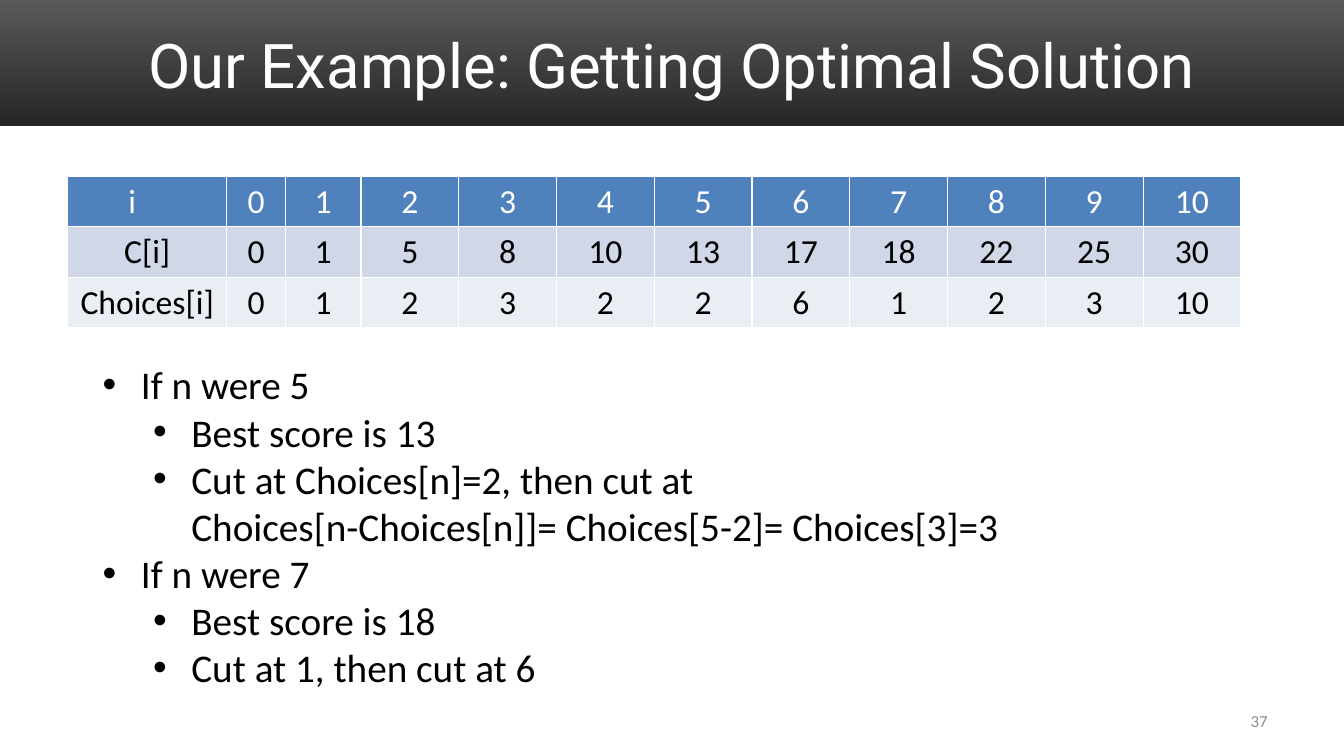
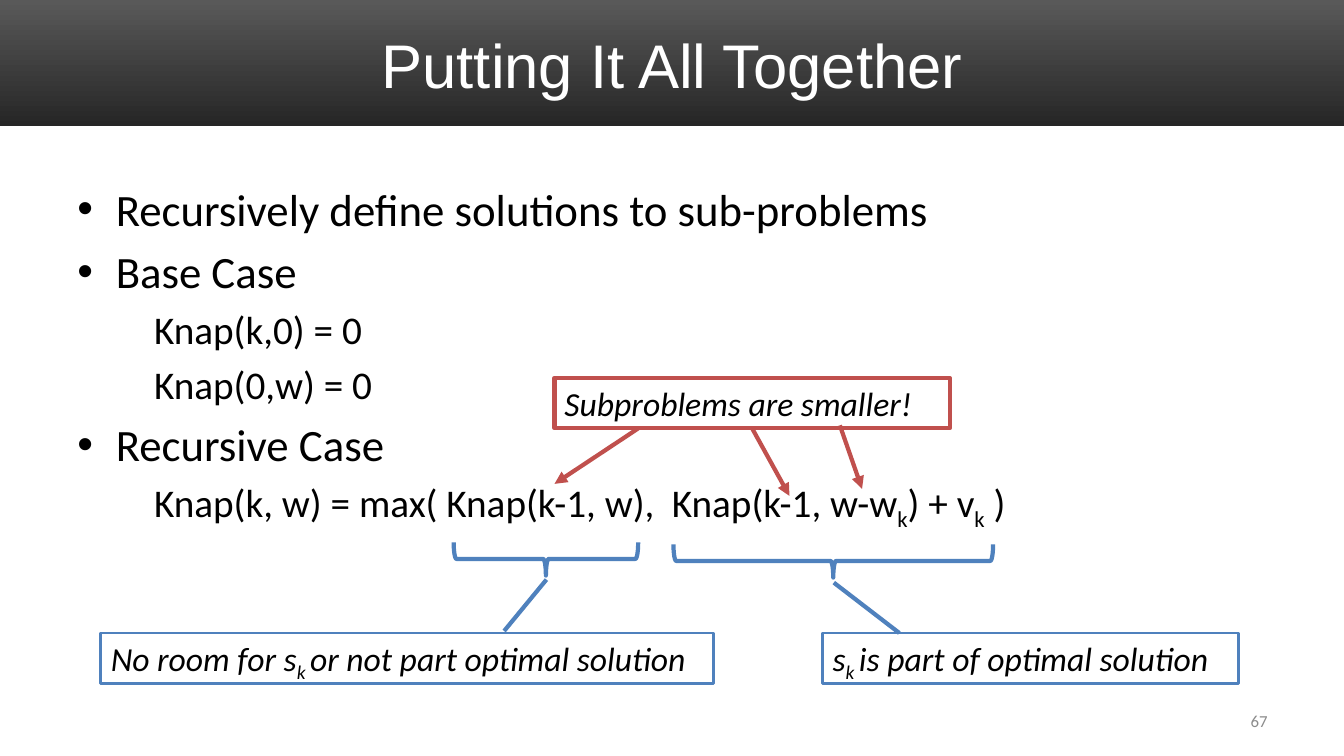
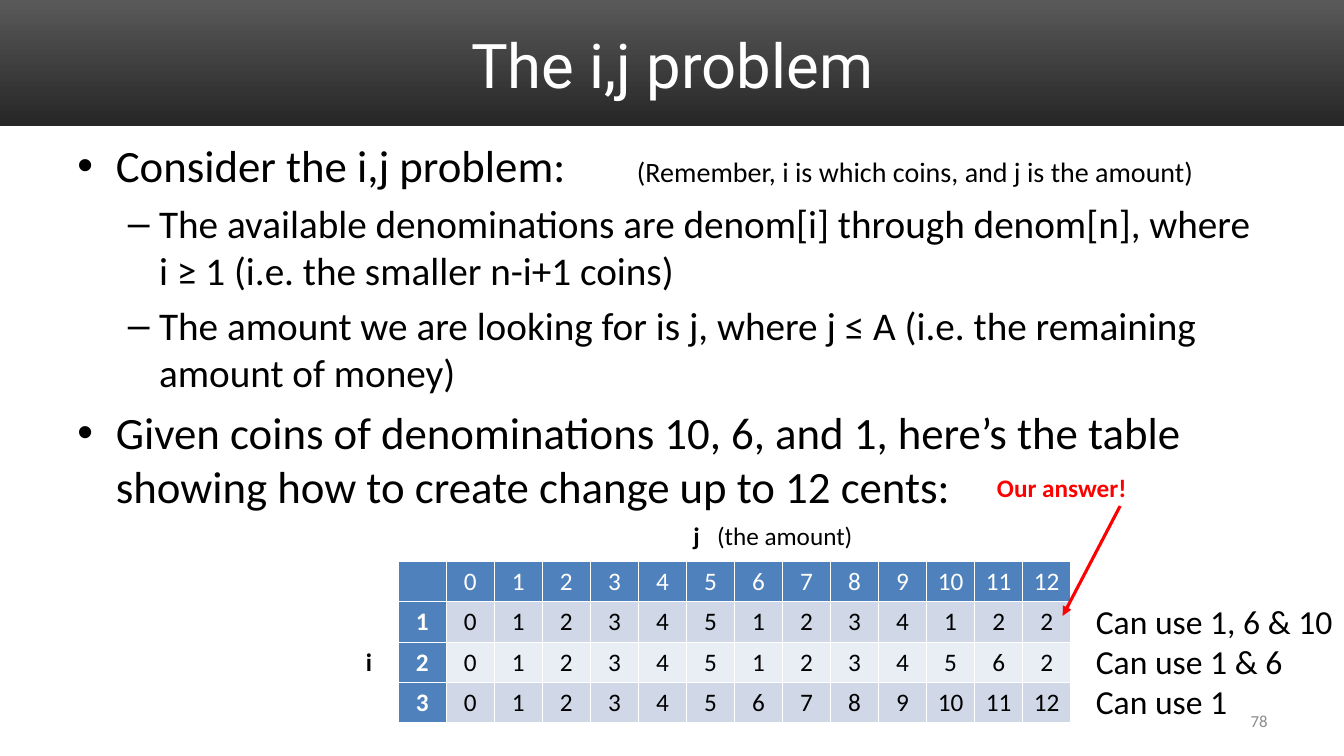
from pptx import Presentation
from pptx.dml.color import RGBColor
from pptx.enum.shapes import MSO_CONNECTOR, MSO_SHAPE
from pptx.enum.text import MSO_ANCHOR, PP_ALIGN
from pptx.oxml.ns import qn
from pptx.util import Inches, Pt
from lxml.etree import SubElement

BLACK, WHITE, GREY = "000000", "FFFFFF", "8C8C8C"
BLUE, BRICK, RED = "4F81BD", "C0504D", "FF0000"
BANDS = ("D0D8E8", "E9EDF4")
FONT = "Calibri"
BULLET = {"size": 32, "left": 0.38, "hang": 0.38, "char": "•", "before": 6.4}
DASH = {"size": 28, "left": 0.81, "hang": 0.31, "char": "–", "before": 5.6}
FORMULA = {"size": 28, "left": 0.76, "before": 5.6}
POINT = {"size": 28, "left": 0.38, "hang": 0.38, "char": "•"}
SUBPOINT = {"size": 28, "left": 0.88, "hang": 0.38, "char": "•"}


def rgb(value):
    """Turn a hex string into a colour."""
    return RGBColor.from_string(value)


def sub(text):
    """Describe a subscript run."""
    return text, {"base": -25}


def gap(points):
    """Describe a single space widened by the given points."""
    return " ", {"spacing": points}


def format_run(r, size, color=BLACK, font=FONT, bold=False, italic=False, base=0, spacing=0):
    """Apply the character format to a run."""
    r.font.size = Pt(size)
    r.font.name = font
    r.font.color.rgb = rgb(color)
    r.font.bold = bold
    r.font.italic = italic
    rPr = r._r.get_or_add_rPr()
    if base:
        rPr.set("baseline", str(base * 1000))
    if spacing:
        rPr.set("spc", str(round(spacing * 100)))


def fill_paragraph(p, content, align=PP_ALIGN.LEFT, left=0, hang=0, char=None, before=0, **style):
    """Write a string or a list of runs into a paragraph."""
    p.alignment = align
    p.space_before = Pt(before)
    pPr = p._p.get_or_add_pPr()
    pPr.set("marL", str(Inches(left)))
    pPr.set("indent", str(-Inches(hang)))
    if char:
        SubElement(pPr, qn("a:buFont")).set("typeface", "Arial")
        SubElement(pPr, qn("a:buChar")).set("char", char)
    if isinstance(content, str):
        p.text = content
        for r in p.runs:
            format_run(r, **style)
        return
    for part in content:
        text, extra = (part, {}) if isinstance(part, str) else part
        r = p.add_run()
        r.text = text
        format_run(r, **{**style, **extra})


def fill_frame(tf, paragraphs, anchor=MSO_ANCHOR.TOP, **style):
    """Write (content, paragraph style) pairs into a text frame."""
    tf.word_wrap = True
    tf.vertical_anchor = anchor
    for n, (content, own) in enumerate(paragraphs):
        p = tf.add_paragraph() if n else tf.paragraphs[0]
        fill_paragraph(p, content, **{**style, **own})


def add_text(s, at, paragraphs, **style):
    """Add a text box."""
    sp = s.shapes.add_textbox(*map(Inches, at))
    fill_frame(sp.text_frame, paragraphs, **style)
    return sp


def add_outline(s, kind, at, color, width):
    """Add an unfilled outlined shape."""
    sp = s.shapes.add_shape(kind, *map(Inches, at))
    sp.shadow.inherit = False
    sp.fill.background()
    sp.line.color.rgb = rgb(color)
    sp.line.width = Pt(width)
    return sp


def add_callout(s, at, content, color, width):
    """Add a framed note in italics."""
    sp = add_outline(s, MSO_SHAPE.RECTANGLE, at, color, width)
    fill_frame(sp.text_frame, [(content, {})], size=24, italic=True)


def add_brace(s, at):
    """Add a brace that opens upwards."""
    add_outline(s, MSO_SHAPE.LEFT_BRACE, at, BLUE, 3).rotation = 270


def add_line(s, start, end, color, width=3, arrow=False):
    """Add a straight line, optionally with an arrowhead at its end."""
    sp = s.shapes.add_connector(MSO_CONNECTOR.STRAIGHT, *map(Inches, (*start, *end)))
    sp.line.color.rgb = rgb(color)
    sp.line.width = Pt(width)
    if arrow:
        SubElement(sp.line._get_or_add_ln(), qn("a:tailEnd")).set("type", "triangle")
    SubElement(sp._element.spPr, qn("a:effectLst"))


def add_borders(cell):
    """Draw thin white borders around a cell."""
    tcPr = cell._tc.get_or_add_tcPr()
    for side in ("lnL", "lnR", "lnT", "lnB"):
        ln = SubElement(tcPr, qn(f"a:{side}"), w=str(Pt(1)))
        color = SubElement(SubElement(ln, qn("a:solidFill")), qn("a:srgbClr"))
        color.set("val", WHITE)


def add_grid(s, left, top, widths, height, rows, size, side_header=False):
    """Add a banded table with a blue header and return it."""
    frame = s.shapes.add_table(len(rows), len(widths), Inches(left), Inches(top),
                               Inches(sum(widths)), Inches(height * len(rows)))
    table = frame.table
    table.first_row = table.horz_banding = False
    for column, width in zip(table.columns, widths):
        column.width = Inches(width)
    for i, row in enumerate(rows):
        table.rows[i].height = Inches(height)
        for j, value in enumerate(row):
            cell = table.cell(i, j)
            side = side_header and j == 0
            head = i == 0 or side
            add_borders(cell)
            cell.fill.solid()
            cell.fill.fore_color.rgb = rgb(BLUE if head else BANDS[(i - 1) % 2])
            fill_paragraph(cell.text_frame.paragraphs[0], str(value), align=PP_ALIGN.CENTER,
                           size=size, color=WHITE if head else BLACK, bold=side)
    return table


def new_slide(prs, title, number, font="Roboto"):
    """Add a slide with the title band and the page number."""
    s = prs.slides.add_slide(prs.slide_layouts[6])
    band = s.shapes.add_shape(MSO_SHAPE.RECTANGLE, 0, 0, prs.slide_width, Inches(1.25))
    band.shadow.inherit = False
    band.line.fill.background()
    band.fill.gradient()
    band.fill.gradient_angle = 270
    for stop, color in zip(band.fill.gradient_stops, ("595959", "262626")):
        stop.color.rgb = rgb(color)
    add_text(s, (0.67, 0.17, 12, 0.92), [(title, {})], anchor=MSO_ANCHOR.MIDDLE,
             align=PP_ALIGN.CENTER, size=44, font=font, color=WHITE)
    add_text(s, (9.56, 6.95, 3.11, 0.4), [(str(number), {})], anchor=MSO_ANCHOR.MIDDLE,
             align=PP_ALIGN.RIGHT, size=12, color=GREY)
    return s


def build_optimal(prs):
    """Build the slide that reads a solution from the table."""
    s = new_slide(prs, "Our Example: Getting Optimal Solution", 37)
    rows = [
        ["i", *range(11)],
        ["C[i]", 0, 1, 5, 8, 10, 13, 17, 18, 22, 25, 30],
        ["Choices[i]", 0, 1, 2, 3, 2, 2, 6, 1, 2, 3, 10],
    ]
    table = add_grid(s, 0.67, 1.75, [1.58, 0.58, 0.75] + [0.97] * 9, 0.5, rows, 24)
    table.cell(0, 0).margin_right = Inches(0.4)
    add_text(s, (0.92, 3.53, 9.92, 3.4), [
        ("If n were 5", POINT),
        ("Best score is 13", SUBPOINT),
        ("Cut at Choices[n]=2, then cut at\vChoices[n-Choices[n]]= Choices[5-2]= Choices[3]=3",
         SUBPOINT),
        ("If n were 7", POINT),
        ("Best score is 18", SUBPOINT),
        ("Cut at 1, then cut at 6", SUBPOINT),
    ])


def build_recursion(prs):
    """Build the slide with the recursive definition."""
    s = new_slide(prs, "Putting It All Together", 67, font="Arial")
    add_text(s, (0.67, 1.75, 12, 4.95), [
        ("Recursively define solutions to sub-problems", BULLET),
        ("Base Case", BULLET),
        ("Knap(k,0) = 0", FORMULA),
        ("Knap(0,w) = 0", FORMULA),
        ("Recursive Case", BULLET),
        (["Knap(k, w) = max( Knap(k-1, w),", gap(6.3), "Knap(k-1, w-w", sub("k"),
          ") + v", sub("k"), " )"], FORMULA),
    ])
    add_callout(s, (5.5, 3.75, 3.92, 0.5), "Subproblems are smaller!", BRICK, 3)
    add_callout(s, (8.16, 6.28, 4.12, 0.5),
                ["s", sub("k "), "is part of optimal solution"], BLUE, 2)
    add_callout(s, (1, 6.28, 6.08, 0.5),
                ["No room for s", sub("k "), "or not part optimal solution"], BLUE, 2)
    for start, end in (((6.33, 4.25), (5.5, 4.8)), ((7.46, 4.25), (7.83, 4.92)),
                       ((8.33, 4.22), (8.55, 4.85))):
        add_line(s, start, end, BRICK, arrow=True)
    add_brace(s, (5.25, 4.63, 0.33, 1.83))
    add_brace(s, (8.1, 3.98, 0.33, 3.17))
    add_line(s, (5, 6.26), (5.42, 5.75), BLUE)
    add_line(s, (8.92, 6.28), (8.27, 5.78), BLUE)


def build_coins(prs):
    """Build the slide with the coin change table."""
    s = new_slide(prs, "The i,j problem", 78)
    add_text(s, (0.67, 0.75, 12, 4.95), [
        (["Consider the i,j problem:", gap(43.4),
          ("(Remember, i is which coins, and j is the amount)", {"size": 20})], BULLET),
        ("The available denominations are denom[i] through denom[n], where "
         "i ≥ 1 (i.e. the smaller n-i+1 coins)", DASH),
        ("The amount we are looking for is j, where j ≤ A "
         "(i.e. the remaining amount of money)", DASH),
        ("Given coins of denominations 10, 6, and 1, here’s the table "
         "showing how to create change up to 12 cents:", BULLET),
    ], anchor=MSO_ANCHOR.MIDDLE)
    rows = [
        ["", *range(13)],
        [1, 0, 1, 2, 3, 4, 5, 1, 2, 3, 4, 1, 2, 2],
        [2, 0, 1, 2, 3, 4, 5, 1, 2, 3, 4, 5, 6, 2],
        [3, *range(13)],
    ]
    add_grid(s, 3.95, 5.57, [6.67 / 14] * 14, 0.4, rows, 18, side_header=True)
    add_text(s, (3.53, 6.36, 0.28, 0.4), [("i", {})], size=18, bold=True)
    add_text(s, (6.78, 5.11, 2.77, 0.4),
             [([("j", {"bold": True}), gap(8.2), "(the amount)"], {})], size=18)
    coins = add_text(s, (10.77, 5.91, 2.56, 1.31), [
        (text, {}) for text in ("Can use 1, 6 & 10", "Can use 1 & 6", "Can use 1")], size=24)
    coins.text_frame.margin_right = 0
    add_text(s, (9.79, 4.64, 1.6, 0.4), [("Our answer!", {})], size=18, color=RED, bold=True)
    add_line(s, (11.11, 5.02), (10.54, 6.11), RED, width=2.25, arrow=True)


def main():
    """Build and save the presentation."""
    prs = Presentation()
    prs.slide_width, prs.slide_height = Inches(13.33), Inches(7.5)
    build_optimal(prs)
    build_recursion(prs)
    build_coins(prs)
    prs.save("out.pptx")


if __name__ == "__main__":
    main()
